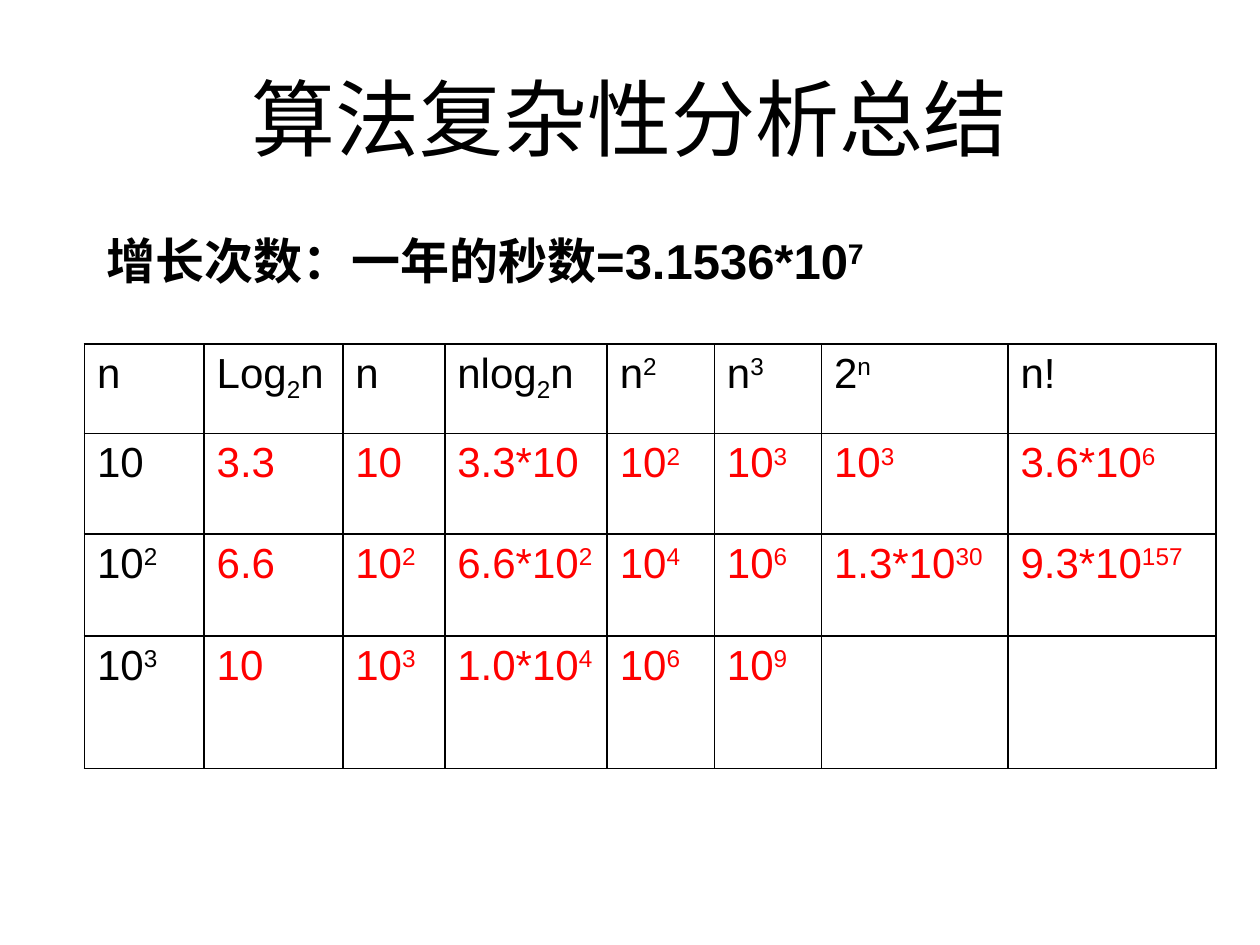
from pptx import Presentation
from pptx.dml.color import RGBColor
from pptx.enum.text import MSO_ANCHOR as ANCHOR, PP_ALIGN as ALIGN
from pptx.oxml import parse_xml
from pptx.oxml.ns import nsdecls
from pptx.util import Inches, Pt

FONT, BLACK, RED = "Arial", "000000", "FF0000"
SLIDE_W, SLIDE_H = 10, 7.5
BASELINES = {"^": "30000", "_": "-25000"}

COL_WIDTHS = [0.95, 1.1, 0.81, 1.29, 0.85, 0.85, 1.48, 1.65]
ROW_HEIGHTS = [0.71, 0.8, 0.81, 1.05]
# Parts are split by "|"; a leading ^ raises a part and _ lowers it
GROWTH = [
    ["n", "Log|_2|n", "n", "nlog|_2|n", "n|^2", "n|^3", "2|^n", "n!"],
    ["10", "3.3", "10", "3.3*10", "10|^2", "10|^3", "10|^3", "3.6*10|^6"],
    ["10|^2", "6.6", "10|^2", "6.6*10|^2", "10|^4", "10|^6",
     "1.3*10|^30", "9.3*10|^157"],
    ["10|^3", "10", "10|^3", "1.0*10|^4", "10|^6", "10|^9", "", ""],
]


def rgb(color):
    return RGBColor.from_string(color)


def write(p, text, size=24, color=BLACK, bold=False, align=None):
    """Fill a paragraph, turning marked parts into super- or subscripts."""
    p.alignment = align
    for part in filter(None, text.split("|")):
        r = p.add_run()
        r.text = part.lstrip("^_")
        r.font.name, r.font.size, r.font.bold = FONT, Pt(size), bold
        r.font.color.rgb = rgb(color)
        if part[0] in BASELINES:
            r.font._element.set("baseline", BASELINES[part[0]])


def add_text(s, box, text, anchor=ANCHOR.TOP, **fmt):
    tf = s.shapes.add_textbox(*map(Inches, box)).text_frame
    tf.word_wrap, tf.vertical_anchor = True, anchor
    p = tf.paragraphs[0]
    write(p, text, **fmt)
    return p


def set_borders(cell, color=BLACK, width=1.08):
    tc_pr = cell._tc.get_or_add_tcPr()
    for i, side in enumerate(("lnL", "lnR", "lnT", "lnB")):
        tc_pr.insert(i, parse_xml(
            f'<a:{side} {nsdecls("a")} w="{Pt(width)}"><a:solidFill>'
            f'<a:srgbClr val="{color}"/></a:solidFill></a:{side}>'))


def add_grid(s, left, top, rows):
    size = sum(COL_WIDTHS), sum(ROW_HEIGHTS)
    table = s.shapes.add_table(len(rows), len(COL_WIDTHS),
                               *map(Inches, (left, top, *size))).table
    table.first_row = table.horz_banding = False
    for col, width in zip(table.columns, COL_WIDTHS):
        col.width = Inches(width)
    for row, height in zip(table.rows, ROW_HEIGHTS):
        row.height = Inches(height)
    for i, row in enumerate(rows):
        for j, text in enumerate(row):
            cell = table.cell(i, j)
            cell.fill.background()
            set_borders(cell)
            # Headings stay black, computed values are red
            write(cell.text_frame.paragraphs[0], text,
                  color=RED if i and j else BLACK)


def main():
    prs = Presentation()
    prs.slide_width, prs.slide_height = Inches(SLIDE_W), Inches(SLIDE_H)
    s = prs.slides.add_slide(prs.slide_layouts[6])

    # Title
    add_text(s, (0.05 * SLIDE_W, 0.04 * SLIDE_H, 0.9 * SLIDE_W, 1.25),
             "算法复杂性分析总结", anchor=ANCHOR.MIDDLE, size=48,
             align=ALIGN.CENTER)

    # Seconds in a year, with a hanging indent
    p = add_text(s, (0.75, 1.78, 7.79, 0.63),
                 "增长次数：一年的秒数=3.1536*10|^7", size=28, bold=True)
    p.space_before = Pt(7)
    p_pr = p._p.get_or_add_pPr()
    p_pr.set("marL", str(Inches(0.67)))
    p_pr.set("indent", str(-Inches(0.67)))

    # Growth table
    add_grid(s, 0.67, 2.73, GROWTH)
    prs.save("out.pptx")


if __name__ == "__main__":
    main()
